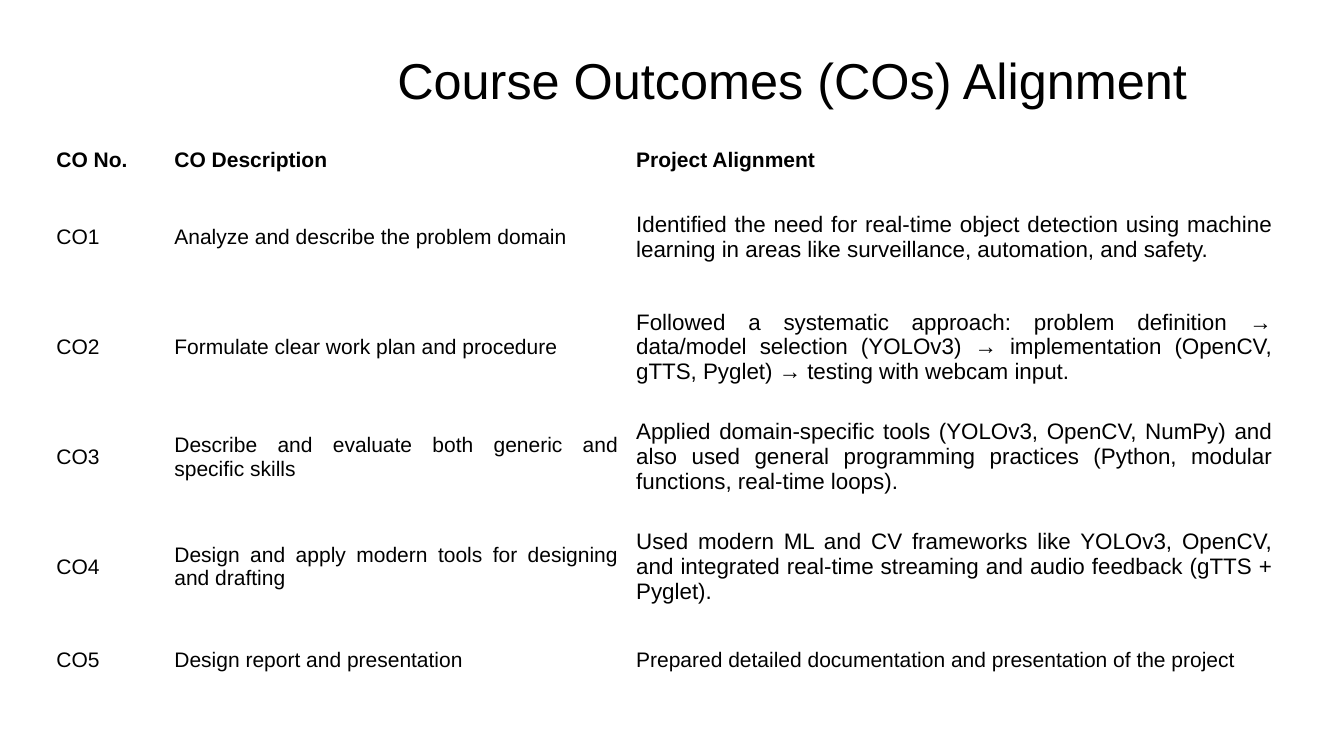
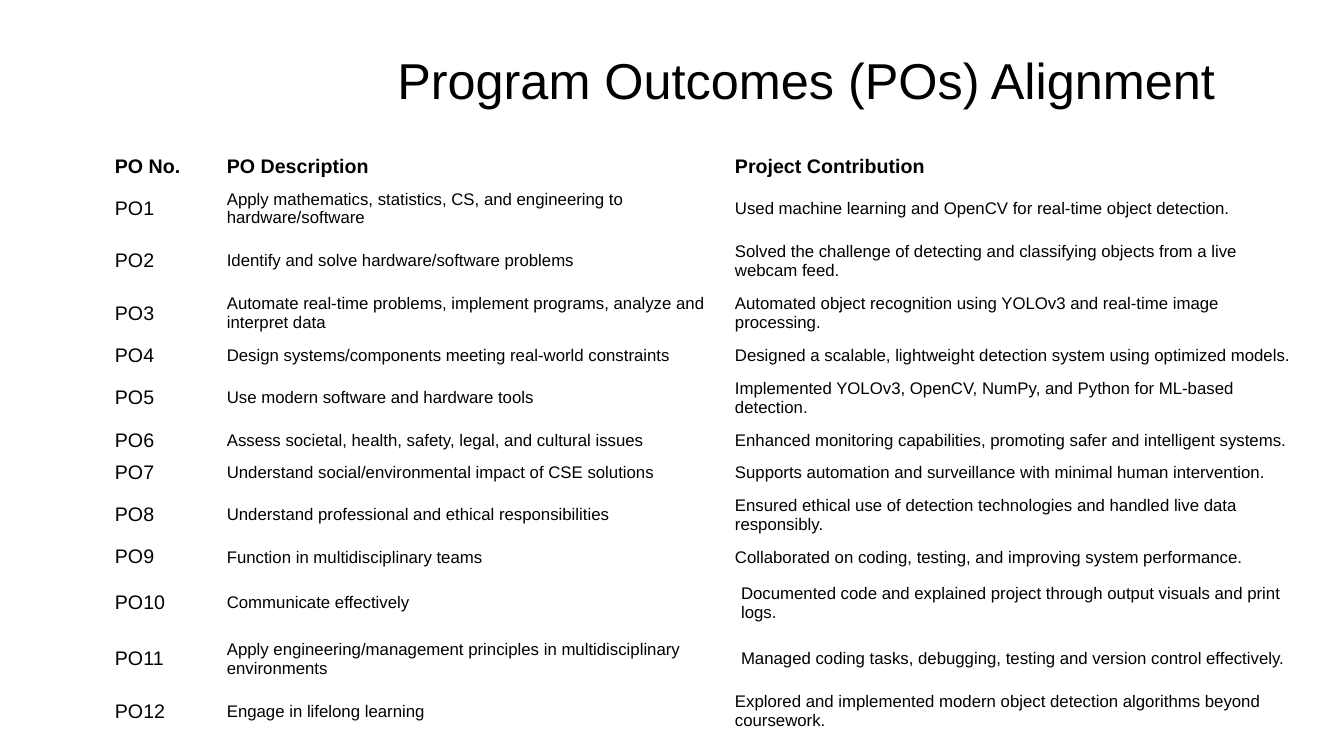
from pptx import Presentation
from pptx.dml.color import RGBColor
from pptx.enum.text import MSO_ANCHOR as Anchor, PP_ALIGN as Align
from pptx.oxml.ns import qn
from pptx.util import Inches, Pt

COLORS = {"text": "000000", "background": "FFFFFF"}
FONT = "Arial"
PLAIN_STYLE = "{2D5ABB26-0587-4C30-8999-92F81FD0307C}"

COURSE_OUTCOMES = [
    ("CO No.", "CO Description", "Project Alignment"),
    ("CO1", "Analyze and describe the problem domain",
     "Identified the need for real-time object detection using machine learning in areas like "
     "surveillance, automation, and safety."),
    ("CO2", "Formulate clear work plan and procedure",
     "Followed a systematic approach: problem definition → data/model selection (YOLOv3) → "
     "implementation (OpenCV, gTTS, Pyglet) → testing with webcam input."),
    ("CO3", "Describe and evaluate both generic and specific skills",
     "Applied domain-specific tools (YOLOv3, OpenCV, NumPy) and also used general programming "
     "practices (Python, modular functions, real-time loops)."),
    ("CO4", "Design and apply modern tools for designing and drafting",
     "Used modern ML and CV frameworks like YOLOv3, OpenCV, and integrated real-time streaming "
     "and audio feedback (gTTS + Pyglet)."),
    ("CO5", "Design report and presentation",
     "Prepared detailed documentation and presentation of the project"),
]

PROGRAM_OUTCOMES = [
    ("PO No.", "PO Description", "Project Contribution"),
    ("PO1", "Apply mathematics, statistics, CS, and engineering to hardware/software",
     "Used machine learning and OpenCV for real-time object detection."),
    ("PO2", "Identify and solve hardware/software problems",
     "Solved the challenge of detecting and classifying objects from a live webcam feed."),
    ("PO3", "Automate real-time problems, implement programs, analyze and interpret data",
     "Automated object recognition using YOLOv3 and real-time image processing."),
    ("PO4", "Design systems/components meeting real-world constraints",
     "Designed a scalable, lightweight detection system using optimized models."),
    ("PO5", "Use modern software and hardware tools",
     "Implemented YOLOv3, OpenCV, NumPy, and Python for ML-based detection."),
    ("PO6", "Assess societal, health, safety, legal, and cultural issues",
     "Enhanced monitoring capabilities, promoting safer and intelligent systems."),
    ("PO7", "Understand social/environmental impact of CSE solutions",
     "Supports automation and surveillance with minimal human intervention."),
    ("PO8", "Understand professional and ethical responsibilities",
     "Ensured ethical use of detection technologies and handled live data responsibly."),
    ("PO9", "Function in multidisciplinary teams",
     "Collaborated on coding, testing, and improving system performance."),
    ("PO10", "Communicate effectively",
     "Documented code and explained project through output visuals and print logs."),
    ("PO11", "Apply engineering/management principles in multidisciplinary environments",
     "Managed coding tasks, debugging, testing and version control effectively."),
    ("PO12", "Engage in lifelong learning",
     "Explored and implemented modern object detection algorithms beyond coursework."),
]


def write(frame, text, size, bold=False, align=Align.LEFT, spacing=None):
    paragraph = frame.paragraphs[0]
    paragraph.alignment = align
    paragraph.line_spacing = spacing
    run = paragraph.add_run()
    run.text = text
    run.font.name = FONT
    run.font.size = Pt(size)
    run.font.bold = bold
    run.font.color.rgb = RGBColor.from_string(COLORS["text"])


class Deck:
    def __init__(self):
        self.presentation = Presentation()
        self.presentation.slide_width = Inches(13.33)
        self.presentation.slide_height = Inches(7.5)
        self.slide = None

    def new_slide(self):
        self.slide = self.presentation.slides.add_slide(self.presentation.slide_layouts[6])
        background = self.slide.background.fill
        background.solid()
        background.fore_color.rgb = RGBColor.from_string(COLORS["background"])

    def title(self, text):
        heading = self.slide.shapes.add_textbox(
            Inches(3.94), Inches(0.2), Inches(9.18), Inches(1.25)).text_frame
        heading.word_wrap = True
        heading.vertical_anchor = Anchor.MIDDLE
        heading.margin_left = heading.margin_right = 0
        heading.margin_top = heading.margin_bottom = 0
        write(heading, text, 36, spacing=0.9)

    def outcomes(self, entries, left, top, widths, heights, format_of):
        holder = self.slide.shapes.add_table(
            len(entries), len(widths), Inches(left), Inches(top),
            Inches(sum(widths)), Inches(sum(heights)))
        for style in holder.element.iter(qn("a:tableStyleId")):
            style.text = PLAIN_STYLE
        grid = holder.table
        grid.horz_banding = False
        for column, width in zip(grid.columns, widths):
            column.width = Inches(width)
        for r, (entry, height) in enumerate(zip(entries, heights)):
            grid.rows[r].height = Inches(height)
            for c, text in enumerate(entry):
                size, align, (side, edge) = format_of(r, c)
                cell = grid.cell(r, c)
                cell.fill.background()
                cell.vertical_anchor = Anchor.MIDDLE
                cell.margin_left = cell.margin_right = Inches(side)
                cell.margin_top = cell.margin_bottom = Inches(edge)
                write(cell.text_frame, text, size, bold=r == 0, align=align)

    def save(self):
        self.presentation.save("out.pptx")


def course_format(row, column):
    long_alignment = column == 2 and 1 <= row <= 4
    return 16 if long_alignment else 15, Align.JUSTIFY, (0.09, 0.04)


def program_format(row, column):
    size = 14 if row == 0 or column == 0 else 12
    wide_margin = column == 2 and row in (10, 11)
    return size, Align.LEFT, (0.1, 0.05) if wide_margin else (0.04, 0.02)


def main():
    deck = Deck()

    deck.new_slide()
    deck.title("Course Outcomes (COs) Alignment")
    deck.outcomes(COURSE_OUTCOMES, 0.47, 1.37, [1.17, 4.58, 6.49],
                  [0.44] + [1.09] * 4 + [0.76], course_format)

    deck.new_slide()
    short, tall = 0.32, 0.52
    deck.outcomes(PROGRAM_OUTCOMES, 1.1, 1.49, [1.11, 5.04, 5.68],
                  [short] + [tall] * 3 + [short, tall, short, short, tall, short, 0.59]
                  + [tall] * 2, program_format)
    deck.title("Program Outcomes (POs) Alignment")

    deck.save()


if __name__ == "__main__":
    main()
